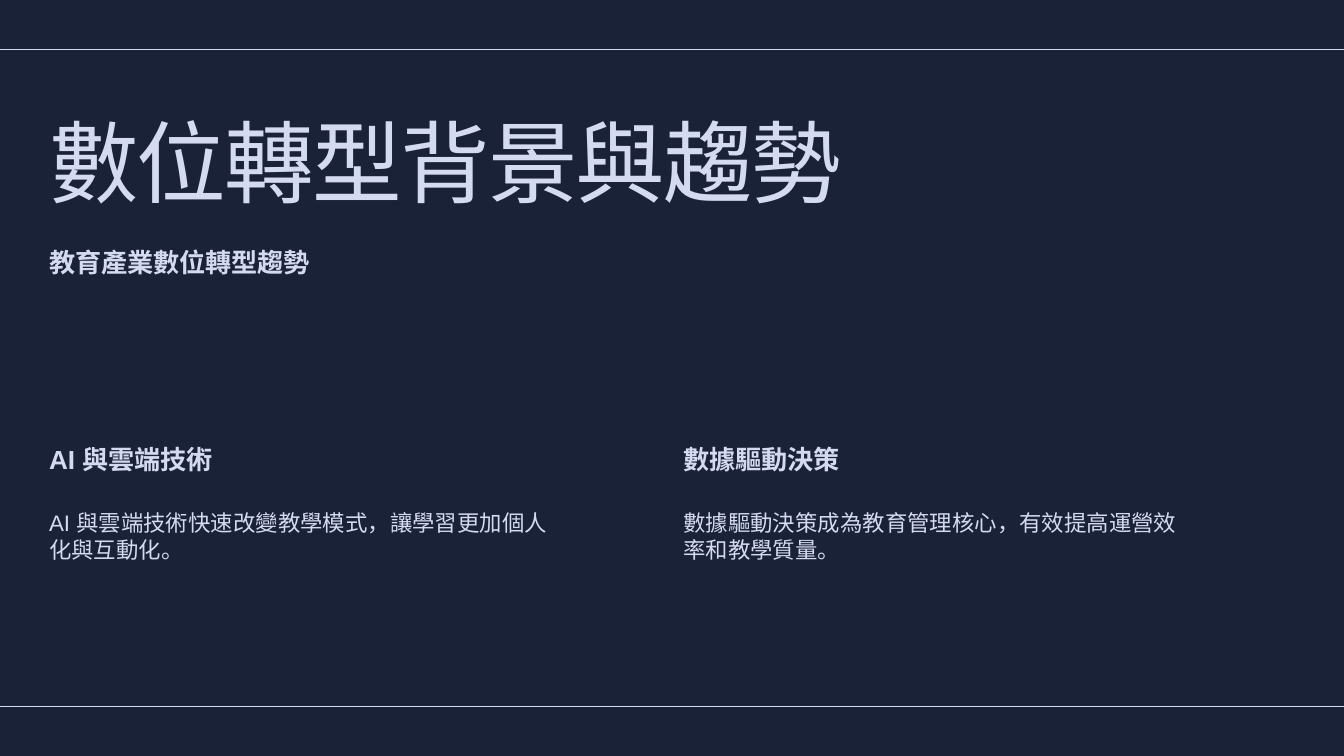
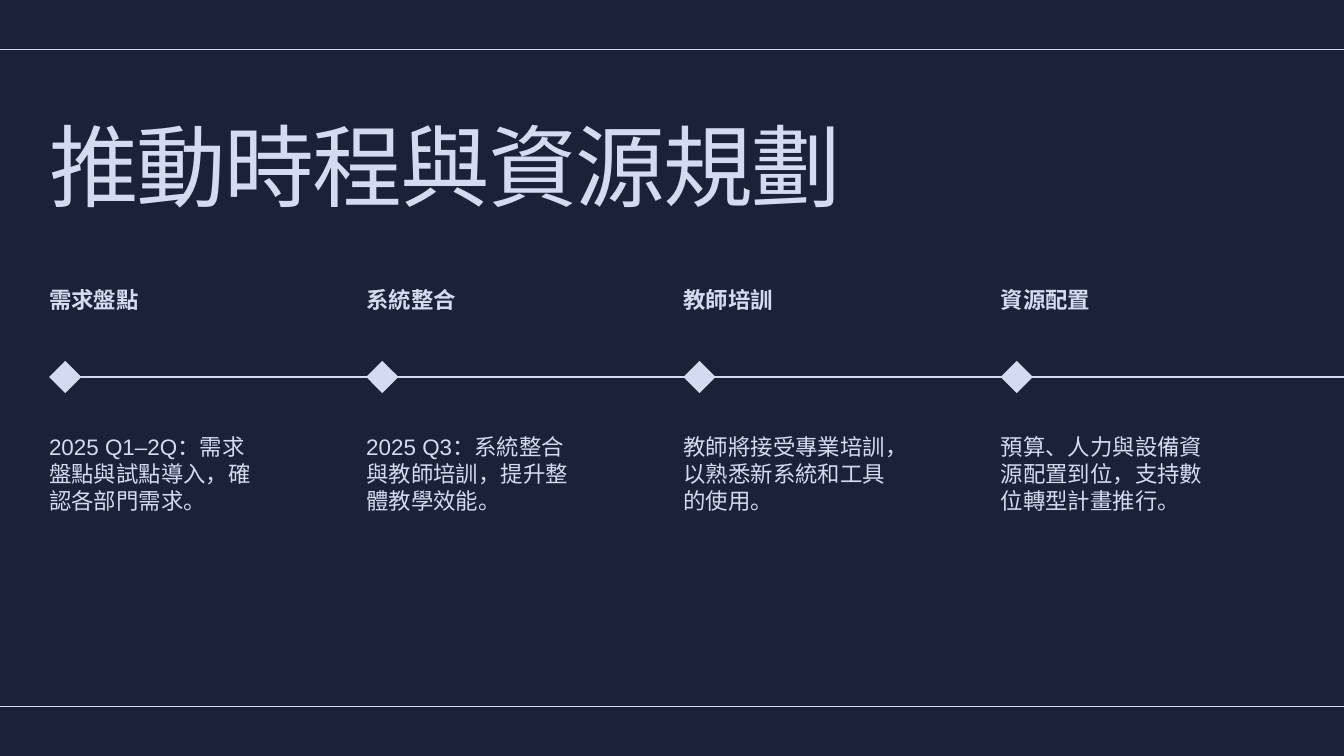
from dataclasses import dataclass

import pptx
import pptx.dml.color
import pptx.enum.shapes
import pptx.enum.text
import pptx.oxml.xmlchemy
import pptx.util
from lxml import etree
from pptx.util import Inches, Pt


@dataclass(frozen=True)
class TextStyle:
    size: float
    leading: float
    font: str = "Arial"
    bold: bool = False
    spacing: float = 0


@dataclass(frozen=True)
class Theme:
    background = pptx.dml.color.RGBColor.from_string("1A2238")
    ink = pptx.dml.color.RGBColor.from_string("D4DAF0")
    rule_width = 1.5
    title = TextStyle(96, 96, "Arial Narrow", spacing=-1.9)
    heading = TextStyle(28, 33.6, bold=True)
    stage = TextStyle(24, 24, bold=True)
    body = TextStyle(24, 28.8)


WIDTH, HEIGHT = 20, 11.25
MARGIN = 0.73
COLUMN_PITCH = 4.72
RULE_OFFSET = 0.735


def column(index):
    """Left edge of a column on the four-column grid."""
    return MARGIN + index * COLUMN_PITCH


class Deck:
    def __init__(self, theme):
        self.theme = theme
        self.prs = pptx.Presentation()
        self.prs.slide_width = Inches(WIDTH)
        self.prs.slide_height = Inches(HEIGHT)
        self.s = None

    def new_slide(self):
        """Start a slide with the shared background and the two rules."""
        self.s = self.prs.slides.add_slide(self.prs.slide_layouts[6])
        fill = self.s.background.fill
        fill.solid()
        fill.fore_color.rgb = self.theme.background
        for y in (RULE_OFFSET, HEIGHT - RULE_OFFSET):
            self.rule(0, y)

    def rule(self, left, y):
        """Horizontal line from left to the right edge of the slide."""
        line = self.s.shapes.add_connector(
            pptx.enum.shapes.MSO_CONNECTOR.STRAIGHT,
            Inches(left), Inches(y), Inches(WIDTH), Inches(y))
        line.line.color.rgb = self.theme.ink
        line.line.width = Pt(self.theme.rule_width)
        etree.SubElement(line._element.spPr, pptx.oxml.ns.qn("a:effectLst"))

    def diamond(self, left, top, size):
        sp = self.s.shapes.add_shape(
            pptx.enum.shapes.MSO_SHAPE.DIAMOND,
            Inches(left), Inches(top), Inches(size), Inches(size))
        sp.shadow.inherit = False
        sp.fill.solid()
        sp.fill.fore_color.rgb = self.theme.ink
        sp.line.fill.background()

    def text(self, text, style, left, top, width, height):
        box = self.s.shapes.add_textbox(
            Inches(left), Inches(top), Inches(width), Inches(height))
        tf = box.text_frame
        tf.margin_left = tf.margin_right = tf.margin_top = tf.margin_bottom = 0
        tf.word_wrap = True
        tf.auto_size = pptx.enum.text.MSO_AUTO_SIZE.SHAPE_TO_FIT_TEXT
        tf.text = text
        p = tf.paragraphs[0]
        p.line_spacing = Pt(style.leading)
        r = p.runs[0]
        r.font.name = style.font
        r.font.size = Pt(style.size)
        r.font.bold = style.bold
        r.font.color.rgb = self.theme.ink
        if style.spacing:
            r._r.get_or_add_rPr().set("spc", str(round(style.spacing * 100)))


def trends_slide(deck):
    theme = deck.theme
    full_width = WIDTH - 2 * MARGIN
    topics = [
        ("AI 與雲端技術", "AI 與雲端技術快速改變教學模式，讓學習更加個人化與互動化。"),
        ("數據驅動決策", "數據驅動決策成為教育管理核心，有效提高運營效率和教學質量。"),
    ]
    deck.new_slide()
    deck.text("數位轉型背景與趨勢", theme.title, MARGIN, 1.86, full_width, 1.45)
    deck.text("教育產業數位轉型趨勢", theme.heading, MARGIN, 3.67, full_width, 0.46)
    for i, (heading, body) in enumerate(topics):
        left = column(2 * i)
        deck.text(heading, theme.heading, left, 6.6, 7.53, 0.46)
        deck.text(body, theme.body, left, 7.58, 7.53, 0.79)


def timeline_slide(deck):
    theme = deck.theme
    axis_y, marker = 5.61, 0.48
    stages = [
        ("需求盤點", "2025 Q1–2Q：需求盤點與試點導入，確認各部門需求。"),
        ("系統整合", "2025 Q3：系統整合與教師培訓，提升整體教學效能。"),
        ("教師培訓", "教師將接受專業培訓，以熟悉新系統和工具的使用。"),
        ("資源配置", "預算、人力與設備資源配置到位，支持數位轉型計畫推行。"),
    ]
    deck.new_slide()
    deck.text("推動時程與資源規劃", theme.title, MARGIN, 1.92, 17.3, 1.4)
    deck.rule(MARGIN + marker / 2, axis_y)
    for i, (stage, body) in enumerate(stages):
        left = column(i)
        deck.diamond(left, axis_y - marker / 2, marker)
        deck.text(stage, theme.stage, left, 4.33, 3.15, 0.36)
        deck.text(body, theme.body, left, 6.45, 3.15, 1.19)


def main():
    deck = Deck(Theme())
    trends_slide(deck)
    timeline_slide(deck)
    deck.prs.save("out.pptx")


if __name__ == "__main__":
    main()
